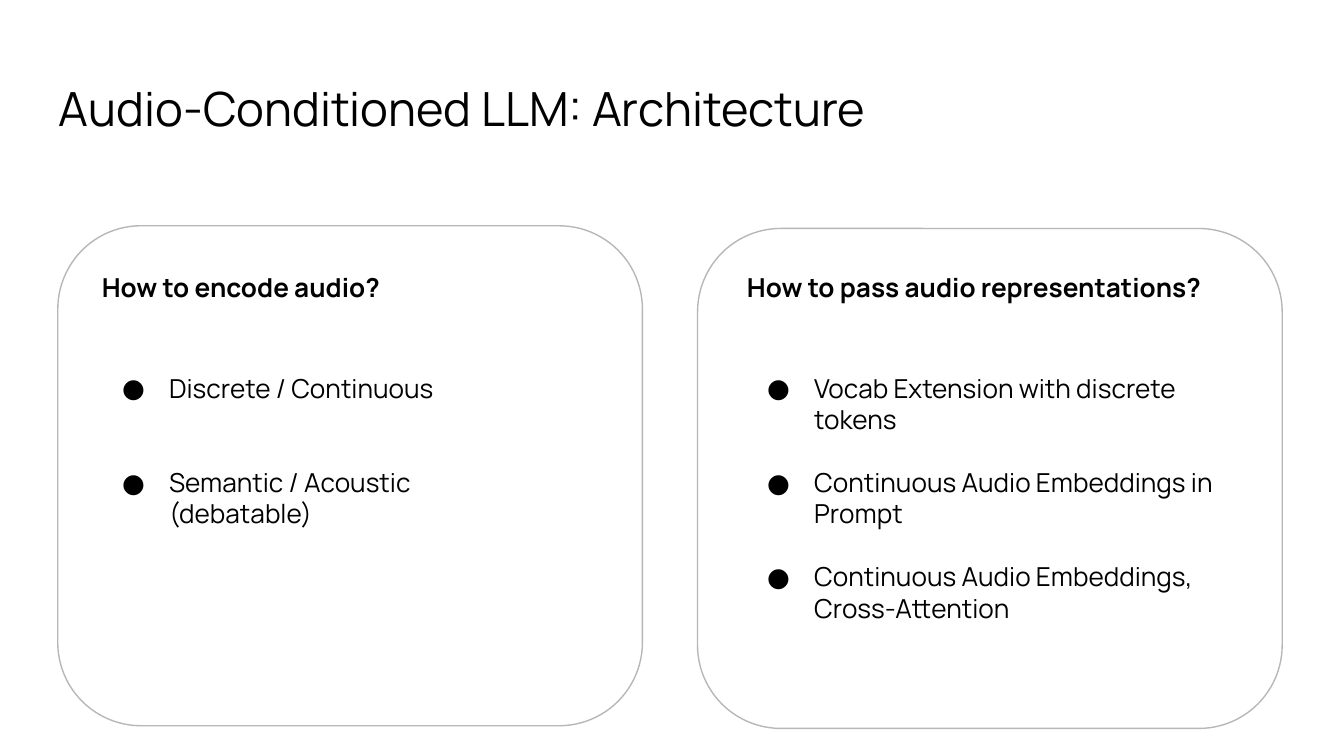
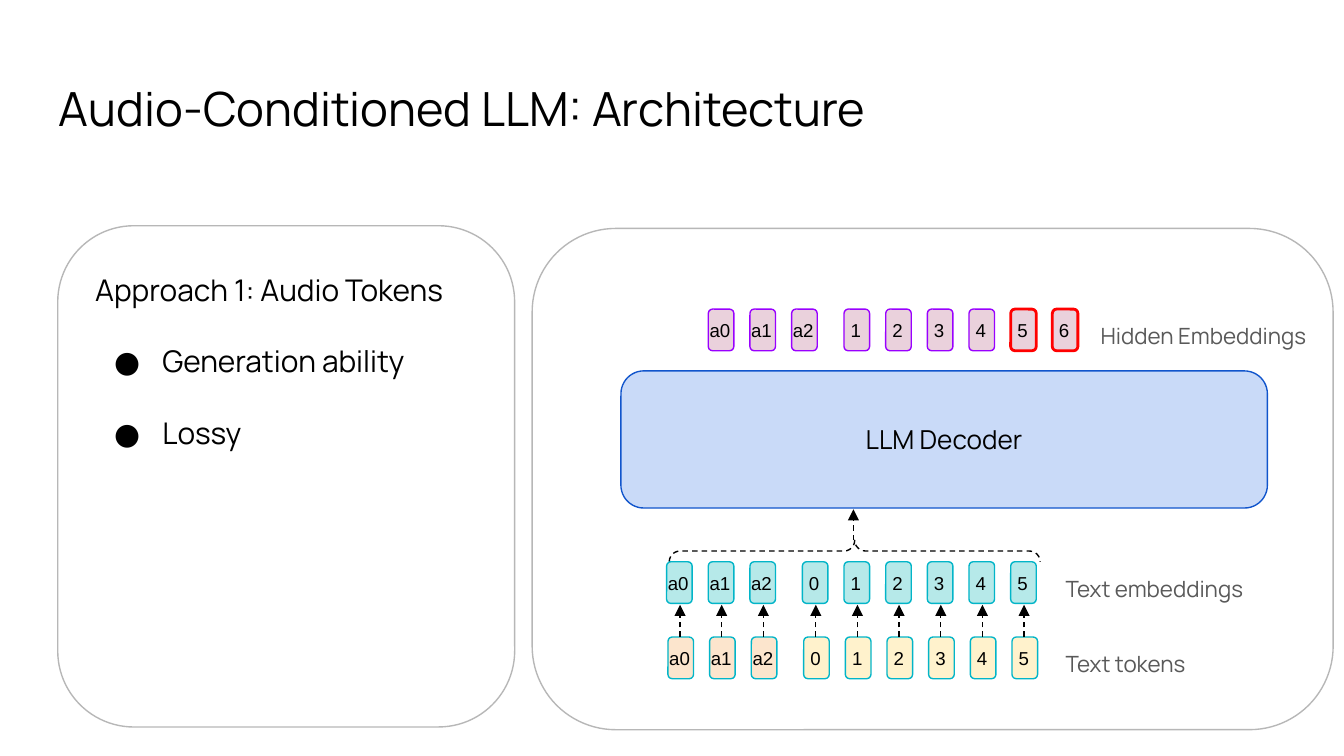
from pptx import Presentation
from pptx.dml.color import RGBColor
from pptx.enum.dml import MSO_LINE
from pptx.enum.shapes import MSO_CONNECTOR, MSO_SHAPE
from pptx.enum.text import MSO_ANCHOR, PP_ALIGN
from pptx.oxml.ns import qn
from pptx.util import Inches, Pt
from lxml.etree import SubElement

BLACK = RGBColor(0x00, 0x00, 0x00)
WHITE = RGBColor(0xFF, 0xFF, 0xFF)
GREY = RGBColor(0xB7, 0xB7, 0xB7)
SLATE = RGBColor(0x59, 0x59, 0x59)
SKY = RGBColor(0xC9, 0xDA, 0xF8)
BLUE = RGBColor(0x11, 0x55, 0xCC)
AQUA = RGBColor(0xB6, 0xE9, 0xE9)
TEAL = RGBColor(0x02, 0xB5, 0xC8)
PEACH = RGBColor(0xFC, 0xE5, 0xCD)
CREAM = RGBColor(0xFF, 0xF2, 0xCC)
PINK = RGBColor(0xEA, 0xD1, 0xDC)
PURPLE = RGBColor(0x99, 0x00, 0xFF)
RED = RGBColor(0xFF, 0x00, 0x00)


def write(shape, paras, size, face="Manrope", ink=BLACK, bold=False,
          align=PP_ALIGN.LEFT, anchor=MSO_ANCHOR.TOP, left=0.1, right=0.1):
    frame = shape.text_frame
    form = {"word_wrap": True, "vertical_anchor": anchor,
            "margin_left": Inches(left), "margin_right": Inches(right),
            "margin_top": Inches(0.1), "margin_bottom": Inches(0.1)}
    for key, value in form.items():
        setattr(frame, key, value)
    for i, (text, hang, gap) in enumerate(paras):
        para = frame.paragraphs[0] if i == 0 else frame.add_paragraph()
        para.alignment = align
        if hang is not None:
            props = para._p.get_or_add_pPr()
            props.set("marL", str(Inches(0.5)))
            props.set("indent", str(Inches(-hang)))
            if hang:
                tint = SubElement(props, qn("a:buClr"))
                SubElement(tint, qn("a:srgbClr")).set("val", str(BLACK))
                SubElement(props, qn("a:buFont")).set("typeface", face)
                SubElement(props, qn("a:buChar")).set("char", "●")
        if gap:
            para.space_before = Pt(gap)
        run = para.add_run()
        run.text = text
        for key, value in {"name": face, "size": Pt(size), "bold": bold}.items():
            setattr(run.font, key, value)
        run.font.color.rgb = ink


def draw(slide, kind, at, fill, edge, width=0.75):
    shape = slide.shapes.add_shape(kind, *map(Inches, at))
    shape.shadow.inherit = False
    if fill is None:
        shape.fill.background()
    else:
        shape.fill.solid()
        shape.fill.fore_color.rgb = fill
    shape.line.color.rgb = edge
    shape.line.width = Pt(width)
    return shape


ROUND = MSO_SHAPE.ROUNDED_RECTANGLE
deck = Presentation()
deck.slide_width = Inches(10)
deck.slide_height = Inches(10) * 9 // 16

pages = []
for cards in (
    [(0.43, 1.68, 4.35, 3.72), (5.19, 1.7, 4.35, 3.72)],
    [(0.43, 1.68, 3.4, 3.73), (3.96, 1.7, 5.96, 3.73)],
):
    page = deck.slides.add_slide(deck.slide_layouts[6])
    title = page.shapes.add_textbox(*map(Inches, (0.34, 0.49, 9.32, 0.63)))
    write(title, [("Audio-Conditioned LLM: Architecture", None, 0)], 25.2)
    for card in cards:
        draw(page, ROUND, card, WHITE, GREY)
    pages.append(page)
first, second = pages

for x, head, high, items in (
    (0.66, "How to encode audio?", 1.23, [
        ("Discrete / Continuous", 0.35, 0),
        ("Semantic / Acoustic", 0.35, 33.6),
        ("(debatable)", 0, 0),
    ]),
    (5.46, "How to pass audio representations?", 2.36, [
        ("Vocab Extension with discrete tokens", 0.35, 0),
        ("Continuous Audio Embeddings in Prompt", 0.35, 16.8),
        ("Continuous Audio Embeddings, Cross-Attention", 0.35, 16.8),
    ]),
):
    box = first.shapes.add_textbox(*map(Inches, (x, 1.92, 3.94, 0.48)))
    write(box, [(head, None, 0)], 14, bold=True)
    box = first.shapes.add_textbox(*map(Inches, (x, 2.67, 3.94, high)))
    write(box, items, 14)

box = second.shapes.add_textbox(*map(Inches, (0.61, 1.92, 3.11, 3.28)))
write(box, [
    ("Approach 1: Audio Tokens", None, 0),
    ("Generation ability", 0.36, 19.2),
    ("Lossy", 0.36, 19.2),
], 16)

model = draw(second, ROUND, (4.62, 2.76, 4.81, 1.02), SKY, BLUE)
write(model, [("LLM Decoder", None, 0)], 14,
      align=PP_ALIGN.CENTER, anchor=MSO_ANCHOR.MIDDLE)

for text, x, y, wide in (
    ("Hidden Embeddings", 8.09, 2.3, 1.91),
    ("Text embeddings", 7.83, 4.18, 1.72),
    ("Text tokens", 7.83, 4.74, 1.72),
):
    label = second.shapes.add_textbox(*map(Inches, (x, y, wide, 0.31)))
    write(label, [(text, None, 0)], 12, ink=SLATE)

brace = draw(second, MSO_SHAPE.RIGHT_BRACE, (6.28, 2.72, 0.16, 2.76), None, BLACK)
brace.rotation = 270
brace.adjustments[0] = 0.5
brace.line.dash_style = MSO_LINE.DASH

STEP = 0.31
AUDIO = ["a0", "a1", "a2"]
for x, y, names, fill, edge, width, align in (
    (5.27, 2.3, AUDIO, PINK, PURPLE, 0.75, PP_ALIGN.LEFT),
    (6.28, 2.3, "1234", PINK, PURPLE, 0.75, PP_ALIGN.LEFT),
    (7.52, 2.3, "56", PINK, RED, 1.5, PP_ALIGN.LEFT),
    (4.96, 4.18, AUDIO, AQUA, TEAL, 0.75, PP_ALIGN.LEFT),
    (5.97, 4.18, "012345", AQUA, TEAL, 0.75, PP_ALIGN.LEFT),
    (4.97, 4.74, AUDIO, PEACH, TEAL, 0.75, PP_ALIGN.JUSTIFY),
    (5.98, 4.74, "012345", CREAM, TEAL, 0.75, PP_ALIGN.JUSTIFY),
):
    left, right = (0, 0) if names is AUDIO else (0.04, 0.1)
    for i, name in enumerate(names):
        token = draw(second, ROUND, (x + i * STEP, y, 0.19, 0.31), fill, edge, width)
        write(token, [(name, None, 0)], 10, "Arial", align=align,
              anchor=MSO_ANCHOR.MIDDLE, left=left, right=right)

ends = [(6.35, 4.02, 3.79)]
ends += [(5.06 + i * STEP, 4.74, 4.5) for i in range(3)]
ends += [(6.07 + i * STEP, 4.74, 4.5) for i in range(6)]
for x, low, top in ends:
    arrow = second.shapes.add_connector(
        MSO_CONNECTOR.STRAIGHT, *map(Inches, (x, low, x, top)))
    arrow.line.color.rgb = BLACK
    arrow.line.width = Pt(0.75)
    arrow.line.dash_style = MSO_LINE.DASH
    SubElement(arrow.line._get_or_add_ln(), qn("a:tailEnd")).set("type", "triangle")
    SubElement(arrow._element.spPr, qn("a:effectLst"))

deck.save("out.pptx")
